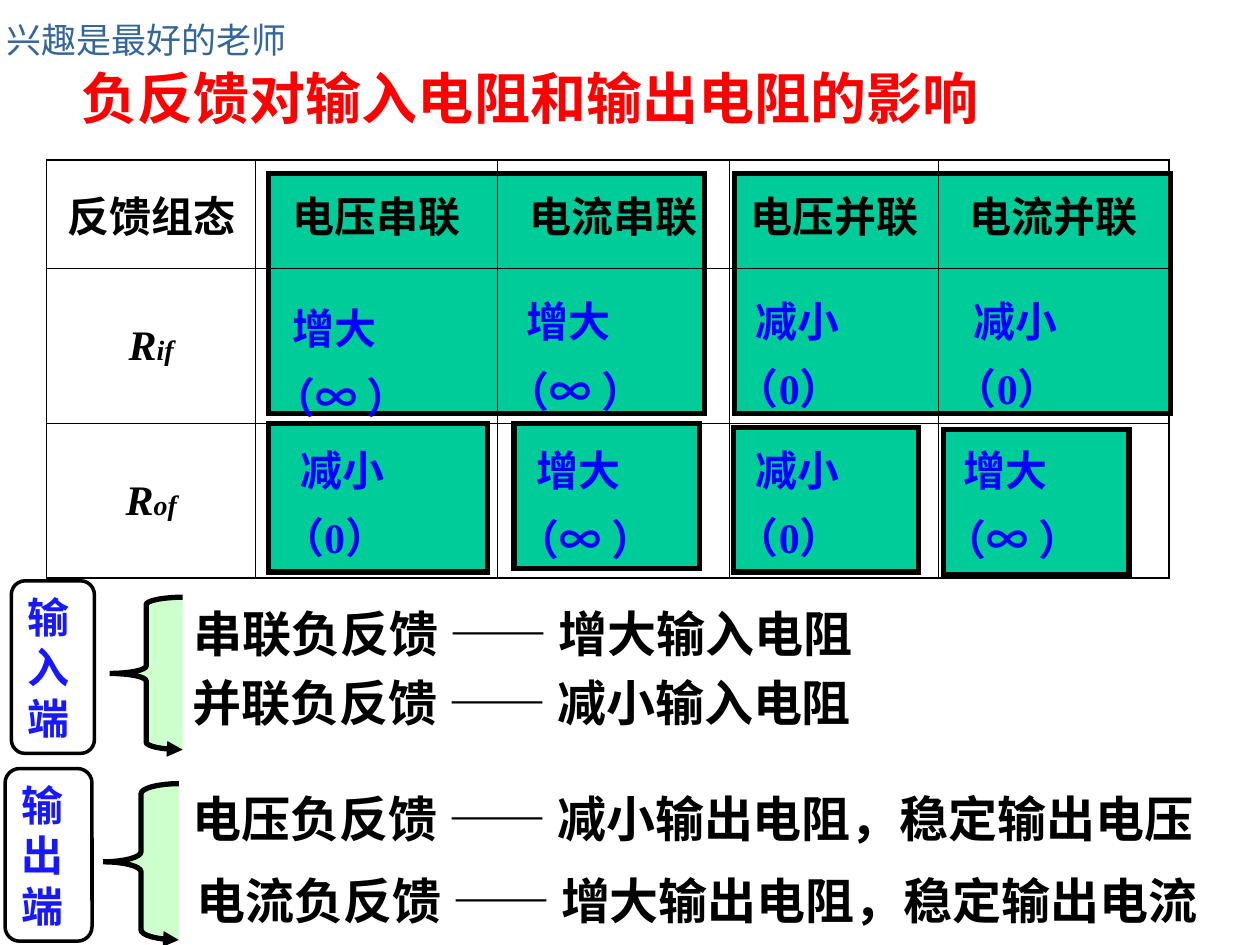
from collections import namedtuple
from math import cos, pi, sin

from lxml.etree import SubElement
from pptx import Presentation
from pptx.dml.color import RGBColor
from pptx.enum.shapes import MSO_SHAPE
from pptx.enum.text import MSO_ANCHOR, MSO_AUTO_SIZE, PP_ALIGN
from pptx.oxml.ns import qn
from pptx.util import Inches, Pt

SANS, SERIF = "Noto Sans CJK SC", "Times New Roman"
BLACK, BLUE, GREEN = "000000", "0000FF", "00CC99"
Box = namedtuple("Box", "left top width height")

COLUMNS = [1.66, 1.92, 1.84, 1.66, 1.83]
ROWS = [0.86, 1.23, 1.23]
HEADINGS = ["反馈组态", "电压串联", "电流串联", "电压并联", "电流并联"]
SYMBOLS = ["if", "of"]
LARGER, SMALLER = ("增大", "（∞ ）"), ("减小", "（0）")
# Panels and effects are measured from the corner of the table.
PANELS = [Box(3.71, 2.09, 1.47, 1.15), Box(7.12, 2.14, 1.47, 1.15),
          Box(5.45, 2.12, 1.47, 1.15), Box(1.76, 2.09, 1.74, 1.18),
          Box(5.46, 0.11, 3.46, 1.9), Box(1.76, 0.11, 3.46, 1.9)]
EFFECTS = [(1.85, 1.08, LARGER), (3.71, 1.03, LARGER),
           (5.53, 1.03, SMALLER), (7.26, 1.03, SMALLER),
           (1.92, 2.21, SMALLER), (3.79, 2.21, LARGER),
           (5.53, 2.21, SMALLER), (7.18, 2.21, LARGER)]


def color(value):
    return RGBColor.from_string(value)


def inside(box, left, top, width, height):
    """Box measured from the corner of another box."""
    return Box(box.left + left, box.top + top, width, height)


def lengths(box):
    return [Inches(value) for value in box]


def style(span, size, font, ink, bold=True, italic=None):
    span.font.size, span.font.name = Pt(size), font
    span.font.bold, span.font.italic = bold, italic
    span.font.color.rgb = color(ink)
    SubElement(span.font._element, qn("a:ea")).set("typeface", SANS)


def paint(shape, fill, width):
    """Solid fill and a black line with sharp corners."""
    shape.shadow.inherit = False
    shape.fill.solid()
    shape.fill.fore_color.rgb = color(fill)
    shape.line.color.rgb = color(BLACK)
    shape.line.width = Pt(width)
    SubElement(shape.line._get_or_add_ln(), qn("a:miter")).set("lim", "800000")


def add_text(page, box, text, size, font, ink, bold=True):
    frame = page.shapes.add_textbox(*lengths(box)).text_frame
    frame.word_wrap = True
    para = frame.paragraphs[0]
    para.text = text
    style(para.runs[0], size, font, ink, bold)
    return para


def add_heading(page, box):
    title = page.shapes.title
    title.left, title.top, title.width, title.height = lengths(box)
    frame = title.text_frame
    frame.text = "负反馈对输入电阻和输出电阻的影响"
    frame.word_wrap, frame.auto_size = True, MSO_AUTO_SIZE.NONE
    frame.vertical_anchor = MSO_ANCHOR.TOP
    para = frame.paragraphs[0]
    para.alignment = PP_ALIGN.LEFT
    para.space_before = Pt(0)
    style(para.runs[0], 32, SANS, "FF0000")


def set_borders(cell, row, column):
    """Thick on the outside of the table, thin between cells."""
    outer = {"a:lnL": column == 0, "a:lnR": column == len(COLUMNS) - 1,
             "a:lnT": row == 0, "a:lnB": row == len(ROWS) - 1}
    properties = cell._tc.get_or_add_tcPr()
    for index, (tag, thick) in enumerate(outer.items()):
        line = properties.makeelement(qn(tag), {"w": str(Pt(1.08 if thick else 0.45))})
        fill = SubElement(line, qn("a:solidFill"))
        SubElement(fill, qn("a:srgbClr")).set("val", BLACK)
        properties.insert(index, line)


def add_comparison(page, box):
    for panel in PANELS:
        shape = page.shapes.add_shape(MSO_SHAPE.RECTANGLE, *lengths(inside(box, *panel)))
        paint(shape, GREEN, 3)

    table = page.shapes.add_table(len(ROWS), len(COLUMNS), *lengths(box)).table
    table.first_row = table.horz_banding = False
    for column, width in zip(table.columns, COLUMNS):
        column.width = Inches(width)
    for row, height in zip(table.rows, ROWS):
        row.height = Inches(height)
    for row in range(len(ROWS)):
        for column in range(len(COLUMNS)):
            cell = table.cell(row, column)
            cell.fill.background()
            cell.vertical_anchor = MSO_ANCHOR.MIDDLE
            set_borders(cell, row, column)
            para = cell.text_frame.paragraphs[0]
            para.alignment = PP_ALIGN.CENTER
            if row == 0:
                para.text = HEADINGS[column]
                style(para.runs[0], 24, SERIF, BLACK)
            elif column == 0:
                for text, size in (("R", 24), (SYMBOLS[row - 1], 16)):
                    span = para.add_run()
                    span.text = text
                    style(span, size, SERIF, BLACK, italic=True)

    for left, top, (word, limit) in EFFECTS:
        drop = 0.55 if limit == LARGER[1] else 0.53
        add_text(page, inside(box, left - 0.15, top + drop, 1.29, 0.5),
                 limit, 24, SERIF, BLUE)
        add_text(page, inside(box, left, top, 0.9, 0.5), word, 24, SERIF, BLUE)


def add_brace(page, box, curl):
    """Left brace with an arrowhead at its lower end."""
    half, middle = box.width / 2, box.height / 2
    right, steps = box.width, 8
    # Centre of each quarter ellipse, with its start and end angles
    arcs = [(right, curl, -pi / 2, -pi), (0, middle - curl, 0, pi / 2),
            (0, middle + curl, -pi / 2, 0), (right, box.height - curl, pi, pi / 2)]
    points = []
    for x, y, start, end in arcs:
        for step in range(steps + 1):
            angle = start + (end - start) * step / steps
            points.append((Inches(box.left + x + half * cos(angle)),
                           Inches(box.top + y + curl * sin(angle))))
    builder = page.shapes.build_freeform(*points[0])
    builder.add_line_segments(points[1:], close=False)
    brace = builder.convert_to_shape()
    paint(brace, "CCFFCC", 3)
    SubElement(brace.line._get_or_add_ln(), qn("a:tailEnd")).set("type", "triangle")


def add_conclusions(page, box, label, label_box, brace_box, curl, lines):
    for left, top, width, text in lines:
        para = add_text(page, inside(box, left, top, width, 0.62),
                        text, 28, SANS, BLACK)
        para.alignment, para.line_spacing = PP_ALIGN.JUSTIFY, 1.1
    shape = page.shapes.add_shape(MSO_SHAPE.FLOWCHART_ALTERNATE_PROCESS,
                                  *lengths(inside(box, *label_box)))
    paint(shape, "FFFFFF", 2)
    frame = shape.text_frame
    frame.text, frame.word_wrap = label, True
    frame.vertical_anchor = MSO_ANCHOR.MIDDLE
    para = frame.paragraphs[0]
    para.alignment = PP_ALIGN.LEFT
    style(para.runs[0], 24, SERIF, "1818FF")
    add_brace(page, inside(box, *brace_box), curl)


def main():
    deck = Presentation()
    deck.slide_width, deck.slide_height = Inches(10), Inches(7.5)
    page = deck.slides.add_slide(deck.slide_layouts[5])
    add_text(page, Box(-0.05, 0.1, 2.5, 0.43), "兴趣是最好的老师",
             20, SANS, "336699", bold=False)
    add_heading(page, Box(0.55, 0.45, 8.49, 0.64))
    add_comparison(page, Box(0.37, 1.27, sum(COLUMNS), sum(ROWS)))
    add_conclusions(page, Box(0, 4.61, 10, 1.37), "输入端",
                    (0.09, 0, 0.66, 1.37), (0.87, 0.13, 0.58, 1.21), 0.06,
                    [(1.44, 0.08, 6.45, "串联负反馈 —— 增大输入电阻"),
                     (1.43, 0.63, 6.08, "并联负反馈 —— 减小输入电阻")])
    add_conclusions(page, Box(0, 6.1, 10, 1.37), "输出端",
                    (0.04, 0, 0.69, 1.37), (0.82, 0.12, 0.6, 1.24), 0.08,
                    [(1.43, 0.06, 8.73, "电压负反馈 —— 减小输出电阻，稳定输出电压"),
                     (1.46, 0.71, 8.55, "电流负反馈 —— 增大输出电阻，稳定输出电流")])
    deck.save("out.pptx")


if __name__ == "__main__":
    main()
